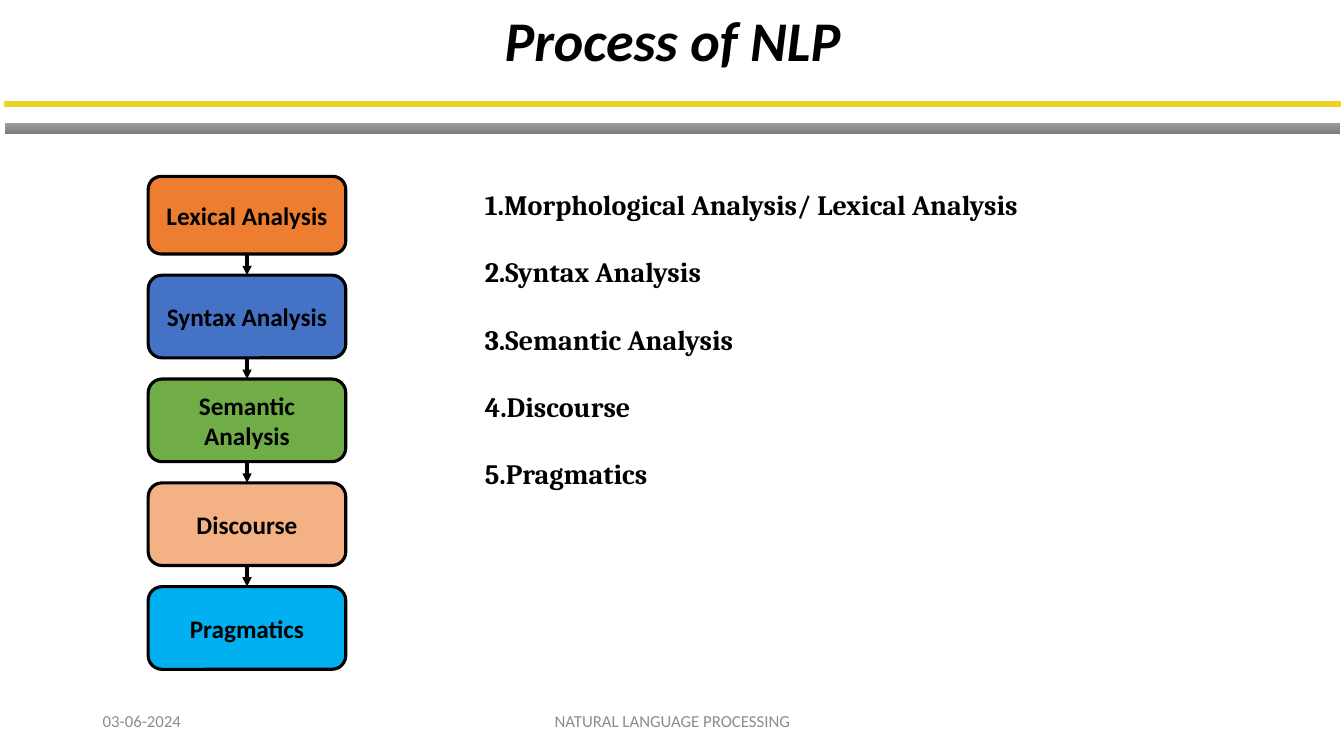
from lxml.etree import SubElement
from pptx import Presentation
from pptx.dml.color import RGBColor
from pptx.enum.shapes import MSO_CONNECTOR, MSO_SHAPE
from pptx.enum.text import MSO_ANCHOR, MSO_AUTO_SIZE, PP_ALIGN
from pptx.oxml.ns import qn
from pptx.util import Inches, Pt

COLORS = {
    "black": "000000",
    "footer": "8C8C8C",
    "yellow": "EED126",
    "gray_top": "9D9D9D",
    "gray_bottom": "7C7C7C",
    "orange": "ED7D31",
    "blue": "4472C4",
    "green": "70AD47",
    "peach": "F4B183",
    "sky": "00B0F0",
}
TITLE = "Process of NLP"
STAGES = [
    ("Lexical Analysis", "orange", 0.77),
    ("Syntax Analysis", "blue", 0.82),
    ("Semantic Analysis", "green", 0.82),
    ("Discourse", "peach", 0.82),
    ("Pragmatics", "sky", 0.82),
]
STEPS = [
    "Morphological Analysis/ Lexical Analysis",
    "Syntax Analysis",
    "Semantic Analysis",
    "Discourse",
    "Pragmatics",
]
FOOTERS = [
    ("03-06-2024", 0.92, 3, PP_ALIGN.LEFT),
    ("NATURAL LANGUAGE PROCESSING", 4.42, 4.5, PP_ALIGN.CENTER),
]
STAGE_LEFT, STAGE_TOP, STAGE_WIDTH, STAGE_GAP = 1.47, 1.75, 1.96, 0.21


def color(name):
    return RGBColor.from_string(COLORS[name])


def write_text(shape, *lines, size, font="Calibri", tint="black", bold=False, italic=False,
               align=PP_ALIGN.CENTER, anchor=MSO_ANCHOR.MIDDLE, spacing=None, numbered=False):
    frame = shape.text_frame
    frame.word_wrap = True
    frame.auto_size = MSO_AUTO_SIZE.NONE
    frame.vertical_anchor = anchor
    frame.text = "\n".join(lines)
    for paragraph in frame.paragraphs:
        paragraph.alignment = align
        if spacing:
            paragraph.line_spacing = spacing
        if numbered:
            properties = paragraph._p.get_or_add_pPr()
            properties.set("marL", "0")
            properties.set("indent", "0")
            SubElement(properties, qn("a:buFont"), typeface="+mj-lt")
            SubElement(properties, qn("a:buAutoNum"), type="arabicPeriod")
        for run in paragraph.runs:
            run.font.name = font
            run.font.size = Pt(size)
            run.font.bold = bold
            run.font.italic = italic
            run.font.color.rgb = color(tint)


def add_box(slide, kind, left, top, width, height):
    shape = slide.shapes.add_shape(kind, Inches(left), Inches(top), Inches(width), Inches(height))
    shape.shadow.inherit = False
    return shape


def add_arrow(slide, upper, lower):
    arrow = slide.shapes.add_connector(MSO_CONNECTOR.STRAIGHT, 0, 0, 0, 0)
    arrow.begin_connect(upper, 2)
    arrow.end_connect(lower, 0)
    arrow.line.color.rgb = color("black")
    arrow.line.width = Pt(2.25)
    SubElement(arrow.line._get_or_add_ln(), qn("a:tailEnd"), type="triangle")
    SubElement(arrow._element.spPr, qn("a:effectLst"))


def add_rules(slide):
    yellow = add_box(slide, MSO_SHAPE.RECTANGLE, 0.05, 1.01, 13.24, 0.05)
    yellow.fill.solid()
    yellow.fill.fore_color.rgb = color("yellow")
    yellow.line.color.rgb = color("yellow")
    yellow.line.width = Pt(1)

    gray = add_box(slide, MSO_SHAPE.RECTANGLE, 0.05, 1.22, 13.24, 0.11)
    gray.fill.gradient()
    gray.fill.gradient_angle = 270
    for stop, name in zip(gray.fill.gradient_stops, ("gray_top", "gray_bottom")):
        stop.color.rgb = color(name)
    gray.line.fill.background()


def add_stages(slide):
    top, previous = STAGE_TOP, None
    for label, fill, height in STAGES:
        stage = add_box(slide, MSO_SHAPE.ROUNDED_RECTANGLE, STAGE_LEFT, top, STAGE_WIDTH, height)
        stage.fill.solid()
        stage.fill.fore_color.rgb = color(fill)
        stage.line.color.rgb = color("black")
        stage.line.width = Pt(2.25)
        write_text(stage, label, size=18, bold=True)
        if previous is not None:
            add_arrow(slide, previous, stage)
        previous = stage
        top += height + STAGE_GAP


def main():
    presentation = Presentation()
    presentation.slide_width = Inches(13.33)
    presentation.slide_height = Inches(7.5)
    slide = presentation.slides.add_slide(presentation.slide_layouts[5])

    title = slide.shapes.title
    title.left, title.top = Inches(0.92), Inches(0)
    title.width, title.height = Inches(11.5), Inches(0.87)
    write_text(title, TITLE, size=40, bold=True, italic=True, spacing=0.9)

    add_rules(slide)
    add_stages(slide)

    steps = slide.shapes.add_textbox(Inches(4.71), Inches(1.48), Inches(7.17), Inches(3.61))
    write_text(steps, *STEPS, size=20, font="Cambria", bold=True, align=PP_ALIGN.JUSTIFY,
               anchor=MSO_ANCHOR.TOP, spacing=2.0, numbered=True)

    for text, left, width, align in FOOTERS:
        footer = slide.shapes.add_textbox(Inches(left), Inches(6.95), Inches(width), Inches(0.4))
        write_text(footer, text, size=12, tint="footer", align=align)

    presentation.save("out.pptx")


if __name__ == "__main__":
    main()
